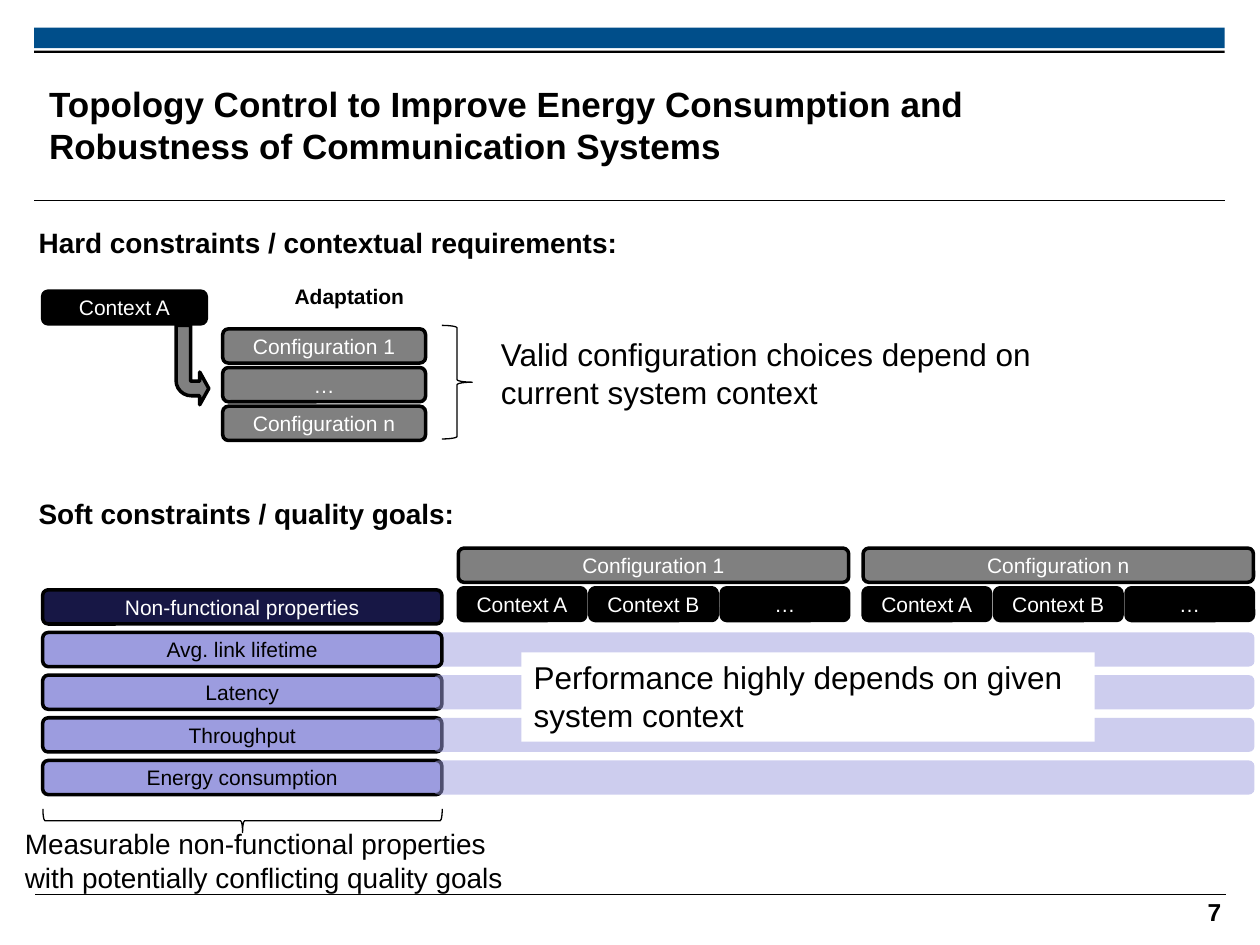
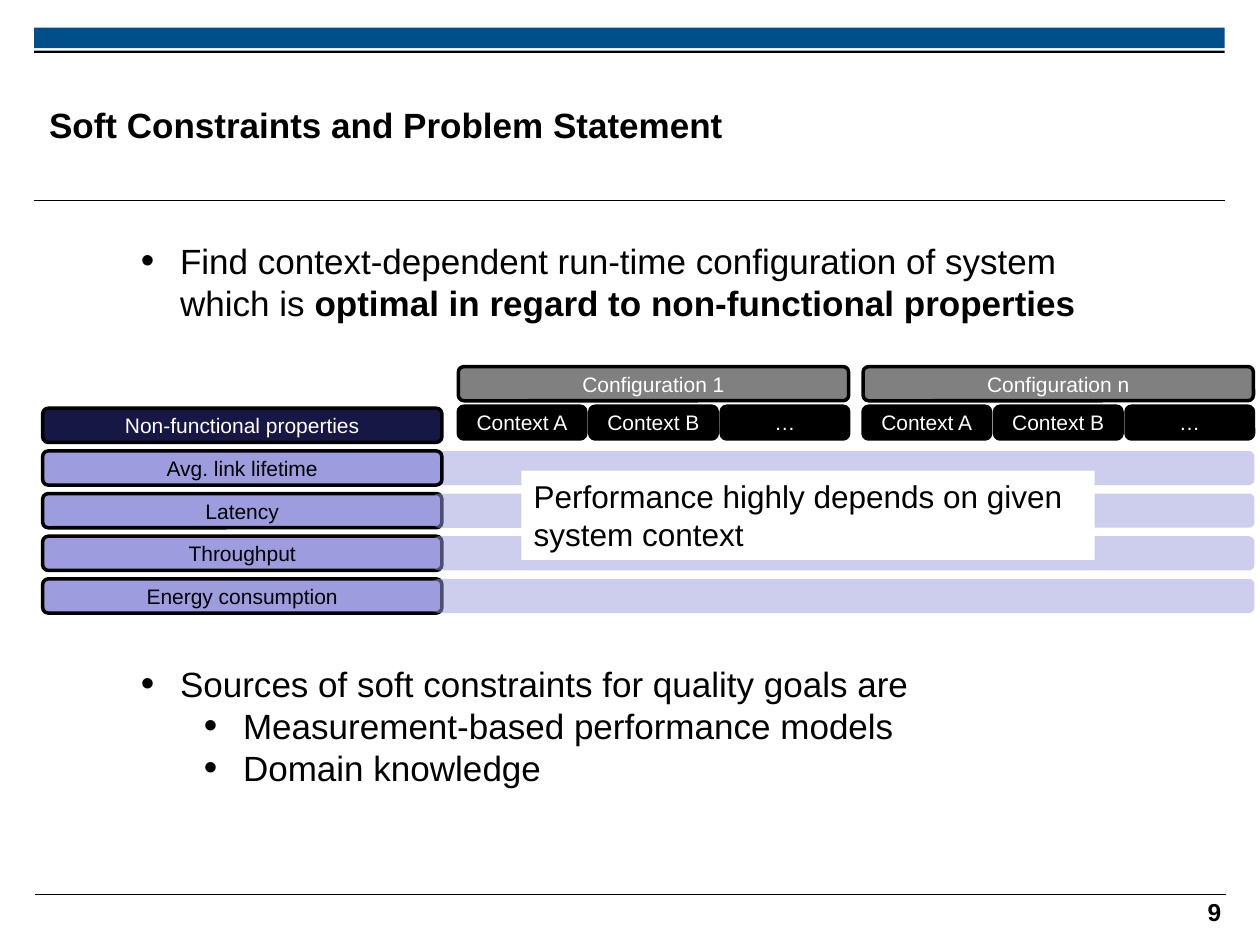
from dataclasses import dataclass

from lxml.etree import SubElement
from pptx import Presentation
from pptx.dml.color import RGBColor as RGB
from pptx.enum.shapes import MSO_CONNECTOR as Link, MSO_SHAPE as Kind
from pptx.enum.text import MSO_ANCHOR as Anchor, MSO_AUTO_SIZE as Fit, PP_ALIGN as Align
from pptx.oxml.ns import qn
from pptx.util import Cm, Pt


@dataclass(frozen=True)
class Theme:
    font: str = "Arial"
    black: str = "000000"
    white: str = "FFFFFF"
    blue: str = "004E8A"
    gray: str = "808080"
    navy: str = "171745"
    lilac: str = "9C9CDF"
    label: int = 12
    number: int = 14
    head: int = 16
    note: int = 18
    title: int = 20
    thin: float = 0.6
    brace: float = 0.75
    edge: float = 2


T = Theme()
CONFIGS = ("Configuration 1", "Configuration n")
CONTEXTS = ("Context A", "Context B", "…")
GOALS = ("Avg. link lifetime", "Latency", "Throughput", "Energy consumption")
TILE = 0.69  # height of labels and bars


def style(runs, size, color=T.black, bold=False):
    for run in runs:
        font = run.font
        font.name, font.size, font.bold = T.font, Pt(size), bold
        font.color.rgb = RGB.from_string(color)


def shape(slide, kind, box, fill=None, edge=None):
    item = slide.shapes.add_shape(kind, *map(Cm, box))
    item.shadow.inherit = False
    if fill:
        item.fill.solid()
        item.fill.fore_color.rgb = RGB.from_string(fill)
    else:
        item.fill.background()
    if edge:
        item.line.color.rgb = RGB.from_string(T.black)
        item.line.width = Pt(edge)
    else:
        item.line.fill.background()
    return item


def tile(slide, box, text, fill, color=T.white):
    """Add an outlined, rounded label with centred text."""
    item = shape(slide, Kind.ROUNDED_RECTANGLE, box, fill, T.edge)
    item.text_frame.text = text
    para = item.text_frame.paragraphs[0]
    para.alignment = Align.CENTER
    style(para.runs, T.label, color)


def text(slide, box, words, size, bold=False):
    """Add unwrapped text; each line of words is a paragraph."""
    frame = slide.shapes.add_textbox(*map(Cm, box)).text_frame
    frame.word_wrap = False
    frame.auto_size = Fit.SHAPE_TO_FIT_TEXT
    frame.text = words
    for para in frame.paragraphs:
        style(para.runs, size, bold=bold)
    return frame


def plain(slide, box, words, size):
    """Add bold, wrapped text without insets."""
    frame = text(slide, box, words, size, True)
    frame.word_wrap, frame.auto_size = True, Fit.NONE
    frame.margin_left = frame.margin_right = 0
    frame.margin_top = frame.margin_bottom = 0
    return frame


def rule(slide, x, y, width):
    line = slide.shapes.add_connector(Link.STRAIGHT, Cm(x), Cm(y), Cm(x + width), Cm(y))
    line.line.color.rgb = RGB.from_string(T.black)
    line.line.width = Pt(T.thin)
    SubElement(line._element.spPr, qn("a:effectLst"))


def bullet(para, level=0):
    para.level = level
    props = para._p.get_or_add_pPr()
    props.set("marL", str(Cm(0.79 + 1.27 * level)))
    props.set("indent", str(Cm(-0.79)))
    SubElement(SubElement(props, qn("a:buClr")), qn("a:srgbClr"), val=T.black)
    SubElement(props, qn("a:buSzPct"), val="110000")
    SubElement(props, qn("a:buFont"), typeface=T.font)
    SubElement(props, qn("a:buChar"), char="•")


def frame(deck, title, number):
    """Add a slide with bands, rules, title and page number."""
    slide = deck.slides.add_slide(deck.slide_layouts[6])
    shape(slide, Kind.RECTANGLE, (0.69, 0.56, 24, 0.41), T.blue)
    shape(slide, Kind.RECTANGLE, (0.69, 1.02, 24, 0.05), T.black)
    rule(slide, 0.69, 4.04, 24)
    rule(slide, 0.71, 18.03, 24)
    plain(slide, (0.99, 1.35, 19.1, 2.34), title, T.title).vertical_anchor = Anchor.MIDDLE
    page = plain(slide, (23.5, 18.08, 1.12, 0.64), str(number), T.number)
    page.paragraphs[0].alignment = Align.RIGHT
    return slide


def adapt(slide, x, y):
    """Show how a context selects among configurations."""
    tile(slide, (x, y + 0.28, 3.3, 0.66), CONTEXTS[0], T.black)
    text(slide, (x + 4.83, y, 2.74, 0.76), "Adaptation", T.label, True)
    arrow = shape(slide, Kind.BENT_ARROW, (x + 2.69, y + 0.97, 0.66, 1.6), T.gray, T.edge)
    for i, value in enumerate((0.448, 0.5, 0.277, 0.465)):
        arrow.adjustments[i] = value
    arrow.rotation = 180
    arrow._element.spPr.find(qn("a:xfrm")).set("flipH", "1")
    for i, name in enumerate((CONFIGS[0], "…", CONFIGS[1])):
        tile(slide, (x + 3.63, y + 1.04 + 0.78 * i, 4.09, TILE), name, T.gray)
    shape(slide, Kind.RIGHT_BRACE, (x + 8.05, y + 0.97, 0.61, 2.29), edge=T.brace)
    text(slide, (x + 8.99, y + 1.04, 11.3, 1.8),
         "Valid configuration choices depend on\ncurrent system context", T.note)


def bar(slide, x, y):
    item = shape(slide, Kind.ROUNDED_RECTANGLE, (x, y, 16.56, TILE), T.lilac)
    color = item.fill._xPr.find(".//" + qn("a:srgbClr"))
    SubElement(color, qn("a:alpha"), val="50000")


def matrix(slide, x, y):
    """Set the properties against configurations and their contexts."""
    tops = [y + 0.84 + 0.86 * i for i in range(len(GOALS) + 1)]
    bar(slide, x + 7.87, tops[1])
    tile(slide, (x, tops[0], 8.05, TILE), "Non-functional properties", T.navy)
    for top, goal in zip(tops[1:], GOALS):
        tile(slide, (x, top, 8.05, TILE), goal, T.lilac, T.black)
    for top in tops[2:]:
        bar(slide, x + 7.87, top)
    for i, config in enumerate(CONFIGS):
        left = x + 8.38 + 8.16 * i
        tile(slide, (left, y, 7.87, TILE), config, T.gray)
        for j, name in enumerate(CONTEXTS):
            tile(slide, (left + 2.65 * j, y + 0.8, 2.57, 0.66), name, T.black)
    note = shape(slide, Kind.RECTANGLE, (x + 9.65, y + 2.1, 11.56, 1.8), T.white).text_frame
    note.text = "Performance highly depends on given system context"
    note.word_wrap, note.vertical_anchor = True, Anchor.TOP
    note.paragraphs[0].alignment = Align.LEFT
    style(note.paragraphs[0].runs, T.note)


def control(deck):
    slide = frame(deck, "Topology Control to Improve Energy Consumption and "
                  "Robustness of Communication Systems", 7)
    text(slide, (0.53, 4.42, 12.34, 0.94), "Hard constraints / contextual requirements:", T.head, True)
    adapt(slide, 0.86, 5.59)
    text(slide, (0.53, 9.88, 9.02, 0.94), "Soft constraints / quality goals:", T.head, True)
    matrix(slide, 0.86, 11.05)
    brace = shape(slide, Kind.RIGHT_BRACE, (4.65, 12.52, 0.48, 8.05), edge=T.brace)
    brace.rotation = 90
    text(slide, (0.25, 16.54, 10.26, 1.63),
         "Measurable non-functional properties\nwith potentially conflicting quality goals", T.head)


def problem(deck):
    slide = frame(deck, "Soft Constraints and Problem Statement", 9)
    goal = text(slide, (2.59, 4.7, 19.51, 1.96),
                "Find context-dependent run-time configuration of system\vwhich is ", T.title)
    para = goal.paragraphs[0]
    bullet(para)
    strong = para.add_run()
    strong.text = "optimal in regard to non-functional properties"
    style([strong], T.title, bold=True)
    matrix(slide, 0.86, 7.39)
    source = text(slide, (2.59, 13.23, 16.1, 2.82),
                  "Sources of soft constraints for quality goals are\n"
                  "Measurement-based performance models\nDomain knowledge", T.title)
    for para, level in zip(source.paragraphs, (0, 1, 1)):
        bullet(para, level)


def main():
    deck = Presentation()
    deck.slide_width, deck.slide_height = Cm(25.4), Cm(19.05)
    control(deck)
    problem(deck)
    deck.save("out.pptx")


if __name__ == "__main__":
    main()
